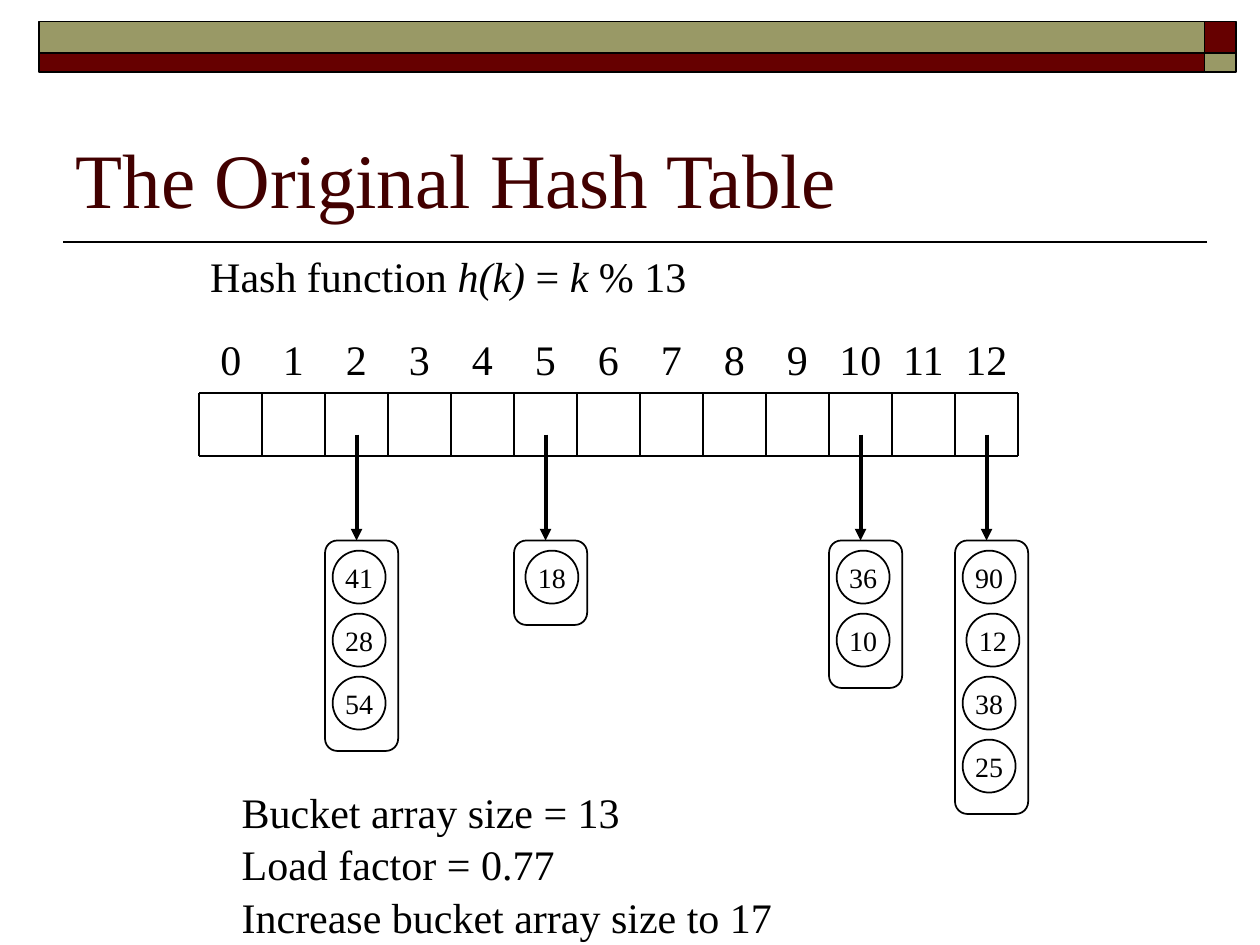
from dataclasses import dataclass

from lxml import etree
from pptx import Presentation
from pptx import util as u
from pptx.dml.color import RGBColor
from pptx.enum import shapes, text
from pptx.oxml import ns

BLACK, MAROON, OLIVE, TITLE = "000000", "660000", "999966", "420000"
FONT = "Times New Roman"
SLOTS = 13
CELL = 0.5
ARRAY_LEFT, ARRAY_TOP = 1.58, 3.12
BUCKET_TOP, BUCKET_WIDTH = 4.29, 0.58
NODE_SIZE = 0.42


@dataclass
class Bar:
    left: float
    top: float
    width: float
    height: float
    fill: str


@dataclass
class Node:
    key: int
    inset: float = 0.06


@dataclass
class Bucket:
    slot: int
    nodes: list[Node]


BARS = [
    Bar(9.56, 0.17, 0.25, 0.25, MAROON),
    Bar(0.31, 0.17, 9.25, 0.25, OLIVE),
    Bar(0.31, 0.42, 9.25, 0.15, MAROON),
    Bar(9.56, 0.42, 0.25, 0.15, OLIVE),
]

BUCKETS = [
    Bucket(2, [Node(41), Node(28), Node(54)]),
    Bucket(5, [Node(18, 0.09)]),
    Bucket(10, [Node(36), Node(10)]),
    Bucket(12, [Node(90), Node(12, 0.09), Node(38), Node(25)]),
]


def rgb(value: str) -> RGBColor:
    return RGBColor.from_string(value)


def set_attrs(target, values: dict) -> None:
    for name, value in values.items():
        setattr(target, name, value)


def add_run(p, content: str, size: float, color: str = BLACK, italic: bool = False) -> None:
    r = p.add_run()
    r.text = content
    set_attrs(r.font, {"name": FONT, "size": u.Pt(size), "italic": italic})
    r.font.color.rgb = rgb(color)


def add_line(s, x1: float, y1: float, x2: float, y2: float, width: float = 1, arrow: bool = False) -> None:
    line = s.shapes.add_connector(
        shapes.MSO_CONNECTOR.STRAIGHT, u.Inches(x1), u.Inches(y1), u.Inches(x2), u.Inches(y2)
    )
    line.line.color.rgb = rgb(BLACK)
    line.line.width = u.Pt(width)
    if arrow:
        etree.SubElement(line.line._get_or_add_ln(), ns.qn("a:tailEnd"), type="triangle")
    etree.SubElement(line._element.spPr, ns.qn("a:effectLst"))


def add_outline(s, kind, left: float, top: float, width: float, height: float, fill: str | None = None):
    sp = s.shapes.add_shape(kind, u.Inches(left), u.Inches(top), u.Inches(width), u.Inches(height))
    sp.shadow.inherit = False
    if fill:
        sp.fill.solid()
        sp.fill.fore_color.rgb = rgb(fill)
    else:
        sp.fill.background()
    sp.line.color.rgb = rgb(BLACK)
    sp.line.width = u.Pt(1)
    return sp


def add_text(s, left: float, top: float, width: float, height: float,
             lines: list[list[tuple[str, bool]]]):
    sp = s.shapes.add_textbox(u.Inches(left), u.Inches(top), u.Inches(width), u.Inches(height))
    tf = sp.text_frame
    tf.word_wrap = True
    for i, runs in enumerate(lines):
        p = tf.add_paragraph() if i else tf.paragraphs[0]
        p.line_spacing = 1.05
        for content, italic in runs:
            add_run(p, content, 24, italic=italic)
    return tf


def add_title(s, content: str) -> None:
    sp = s.shapes.title
    set_attrs(sp, {"left": u.Inches(0.5), "top": u.Inches(0.58),
                   "width": u.Inches(9), "height": u.Inches(1.25)})
    tf = sp.text_frame
    set_attrs(tf, {"vertical_anchor": text.MSO_ANCHOR.BOTTOM, "word_wrap": True,
                   "auto_size": text.MSO_AUTO_SIZE.NONE})
    p = tf.paragraphs[0]
    p.alignment = text.PP_ALIGN.LEFT
    add_run(p, content, 44, TITLE)


def add_array(s) -> None:
    right, bottom = ARRAY_LEFT + SLOTS * CELL, ARRAY_TOP + CELL
    for y in (ARRAY_TOP, bottom):
        add_line(s, ARRAY_LEFT, y, right, y)
    for i in range(SLOTS + 1):
        x = ARRAY_LEFT + i * CELL
        add_line(s, x, ARRAY_TOP, x, bottom)


def add_indexes(s) -> None:
    labels = "\t".join(str(i) for i in range(SLOTS))
    tf = add_text(s, 1.65, 2.58, 6.6, 0.5, [[(labels, False)]])
    tabs = etree.SubElement(tf.paragraphs[0]._p.get_or_add_pPr(), ns.qn("a:tabLst"))
    for i in range(1, SLOTS):
        etree.SubElement(tabs, ns.qn("a:tab"), pos=str(u.Inches(0.08 + i * CELL)), algn="ctr")


def add_node(s, node: Node, left: float, top: float) -> None:
    sp = add_outline(s, shapes.MSO_SHAPE.OVAL, left, top, NODE_SIZE, NODE_SIZE)
    tf = sp.text_frame
    set_attrs(tf, {"margin_left": 0, "margin_right": 0, "margin_top": 0, "margin_bottom": 0,
                   "word_wrap": False, "vertical_anchor": text.MSO_ANCHOR.MIDDLE})
    p = tf.paragraphs[0]
    p.alignment = text.PP_ALIGN.CENTER
    add_run(p, str(node.key), 16)


def add_bucket(s, bucket: Bucket) -> None:
    left = ARRAY_LEFT + bucket.slot * CELL
    height = len(bucket.nodes) * CELL + 0.17
    add_outline(s, shapes.MSO_SHAPE.ROUNDED_RECTANGLE, left, BUCKET_TOP, BUCKET_WIDTH, height)
    for i, node in enumerate(bucket.nodes):
        add_node(s, node, left + node.inset, BUCKET_TOP + 0.08 + i * CELL)
    x = left + CELL / 2
    add_line(s, x, 3.45, x, BUCKET_TOP, 2.25, arrow=True)


def main() -> None:
    prs = Presentation()
    prs.slide_width, prs.slide_height = u.Inches(10), u.Inches(7.5)
    s = prs.slides.add_slide(prs.slide_layouts[5])
    add_line(s, 9.58, 1.92, 0.5, 1.92)
    for bar in BARS:
        add_outline(s, shapes.MSO_SHAPE.RECTANGLE, bar.left, bar.top, bar.width, bar.height, bar.fill)
    add_title(s, "The Original Hash Table")
    add_array(s)
    add_indexes(s)
    for bucket in BUCKETS:
        add_bucket(s, bucket)
    add_text(s, 1.57, 1.92, 3.98, 0.5, [[
        ("Hash function ", False), ("h(k)", True), (" = ", False), ("k", True), (" % 13", False),
    ]])
    add_text(s, 1.82, 6.17, 4.6, 1.3, [
        [("Bucket array size = 13", False)],
        [("Load factor = 0.77", False)],
        [("Increase bucket array size to 17", False)],
    ])
    prs.save("out.pptx")


if __name__ == "__main__":
    main()
